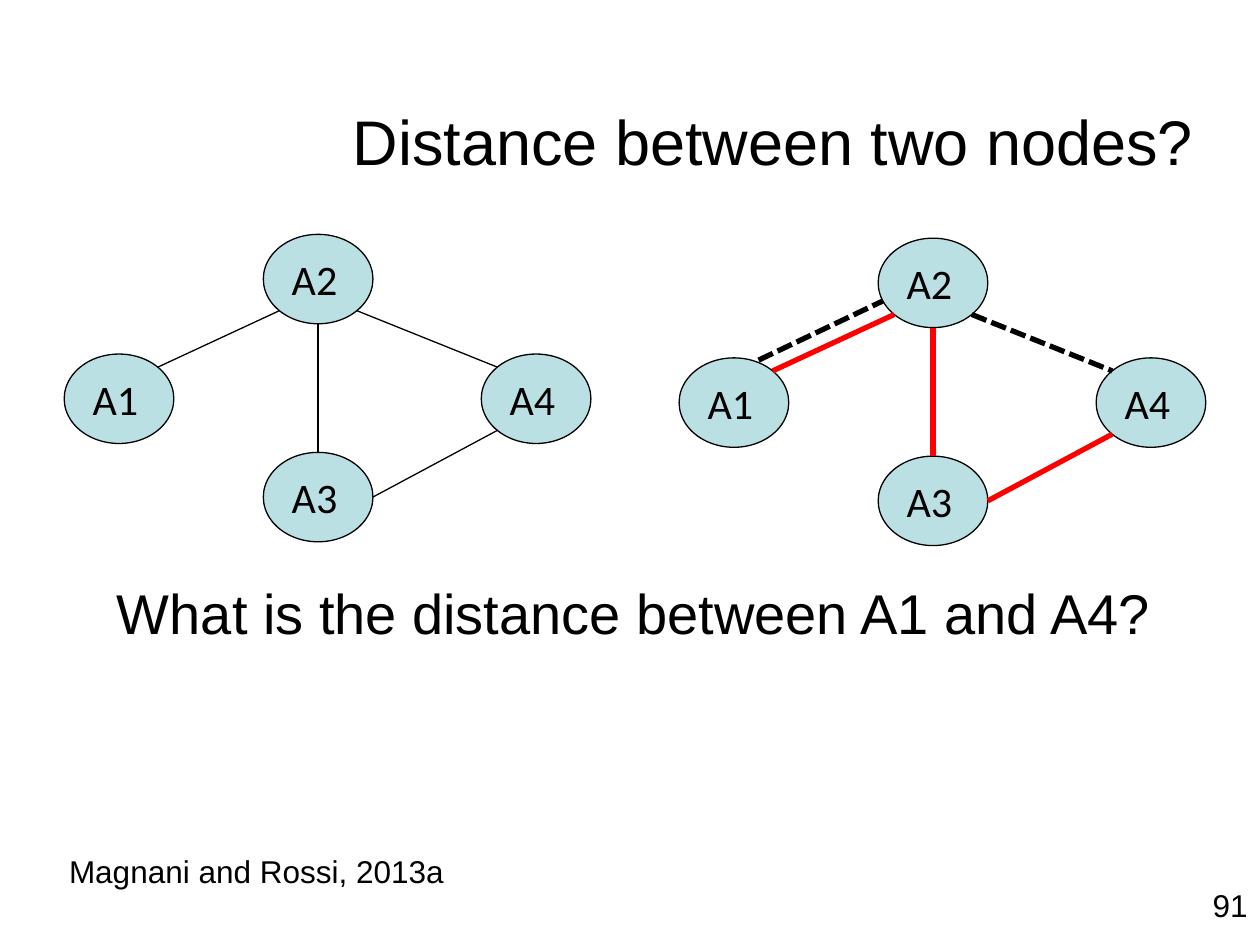
"""Build a slide asking for the distance between two nodes of a graph."""
from math import cos, radians, sin

from lxml import etree
from pptx import Presentation
from pptx.dml.color import RGBColor
from pptx.enum.dml import MSO_LINE
from pptx.enum.shapes import MSO_CONNECTOR, MSO_SHAPE
from pptx.enum.text import MSO_ANCHOR, PP_ALIGN
from pptx.oxml.ns import qn
from pptx.util import Inches, Pt

STRAIGHT = MSO_CONNECTOR.STRAIGHT
OVAL = MSO_SHAPE.OVAL
DASH = MSO_LINE.SQUARE_DOT
LEFT, RIGHT = PP_ALIGN.LEFT, PP_ALIGN.RIGHT
TOP, MIDDLE = MSO_ANCHOR.TOP, MSO_ANCHOR.MIDDLE

COLORS = {"ink": "000000", "node": "BBE0E3", "path": "FF0000"}
NODE_WIDTH, NODE_HEIGHT = 0.87, 0.71
NODES = {"A1": (0.51, 2.81), "A2": (2.09, 1.86), "A3": (2.09, 3.59), "A4": (3.82, 2.81)}
ANGLES = {"right": 0, "bottom right": 45, "bottom": 90, "bottom left": 135,
          "top left": 225, "top": 270, "top right": 315}
EDGES = [
    ("A1", "top right", "A2", "bottom left"),
    ("A3", "top", "A2", "bottom"),
    ("A3", "right", "A4", "bottom left"),
    ("A2", "bottom right", "A4", "top left"),
]
THIN = {"color": "ink", "width": 0.75, "dash": None}
RED = {"color": "path", "width": 3, "dash": None}
DASHED = {"color": "ink", "width": 3, "dash": DASH}


def rgb(name):
    """Return the named colour."""
    return RGBColor.from_string(COLORS[name])


def write_text(shape, text, size, font="Arial", align=LEFT, anchor=TOP, wrap=True):
    """Put one formatted paragraph into a shape."""
    frame = shape.text_frame
    frame.word_wrap = wrap
    frame.vertical_anchor = anchor
    paragraph = frame.paragraphs[0]
    paragraph.text = text
    paragraph.alignment = align
    for key, value in {"name": font, "size": Pt(size)}.items():
        setattr(paragraph.font, key, value)
    paragraph.font.color.rgb = rgb("ink")


def add_title(slide, text):
    """Move and fill the title placeholder."""
    title = slide.shapes.title
    box = {"left": 1.93, "top": 0.67, "width": 7.64, "height": 0.88}
    for key, value in box.items():
        setattr(title, key, Inches(value))
    write_text(title, text, 36, align=RIGHT, anchor=MIDDLE)


def add_text(slide, box, text, size, **options):
    """Add a text box."""
    shape = slide.shapes.add_textbox(*map(Inches, box))
    write_text(shape, text, size, **options)


def add_line(slide, start, end, style):
    """Add a straight line in the given style."""
    connector = slide.shapes.add_connector(STRAIGHT, *map(Inches, (*start, *end)))
    connector.line.color.rgb = rgb(style["color"])
    connector.line.width = Pt(style["width"])
    connector.line.dash_style = style["dash"]
    etree.SubElement(connector._element.spPr, qn("a:effectLst"))


def add_node(slide, label, corner):
    """Add a labelled oval node."""
    box = (*corner, NODE_WIDTH, NODE_HEIGHT)
    shape = slide.shapes.add_shape(OVAL, *map(Inches, box))
    shape.shadow.inherit = False
    shape.fill.solid()
    shape.fill.fore_color.rgb = rgb("node")
    shape.line.color.rgb = rgb("ink")
    shape.line.width = Pt(0.75)
    write_text(shape, label, 24, font="Calibri")


def edge_point(corner, side):
    """Return the point of a node's outline on the given side."""
    angle = radians(ANGLES[side])
    return (corner[0] + NODE_WIDTH / 2 * (1 + cos(angle)),
            corner[1] + NODE_HEIGHT / 2 * (1 + sin(angle)))


def add_graph(slide, offset, styles):
    """Add the four nodes and their edges, shifted by an offset."""
    corners = {label: (x + offset[0], y + offset[1]) for label, (x, y) in NODES.items()}
    for label, corner in corners.items():
        add_node(slide, label, corner)
    for (first, first_side, second, second_side), style in zip(EDGES, styles):
        add_line(slide, edge_point(corners[first], first_side),
                 edge_point(corners[second], second_side), style)


def main():
    """Build and save the slide."""
    presentation = Presentation()
    presentation.slide_width = Inches(10)
    presentation.slide_height = Inches(7.5)
    slide = presentation.slides.add_slide(presentation.slide_layouts[5])
    add_title(slide, "Distance between two nodes?")
    add_line(slide, (5.87, 2.93), (7.13, 2.33), DASHED)
    add_graph(slide, (0, 0), [THIN] * 4)
    add_graph(slide, (4.88, 0.03), [RED, RED, RED, DASHED])
    add_text(slide, (0.83, 4.54, 8.49, 0.64),
             "What is the distance between A1 and A4?", 32, wrap=False)
    add_text(slide, (0.45, 6.71, 5, 0.4), "Magnani and Rossi, 2013a", 18)
    add_text(slide, (9.09, 6.98, 0.91, 0.36), "91", 18, align=RIGHT)
    presentation.save("out.pptx")


if __name__ == "__main__":
    main()
